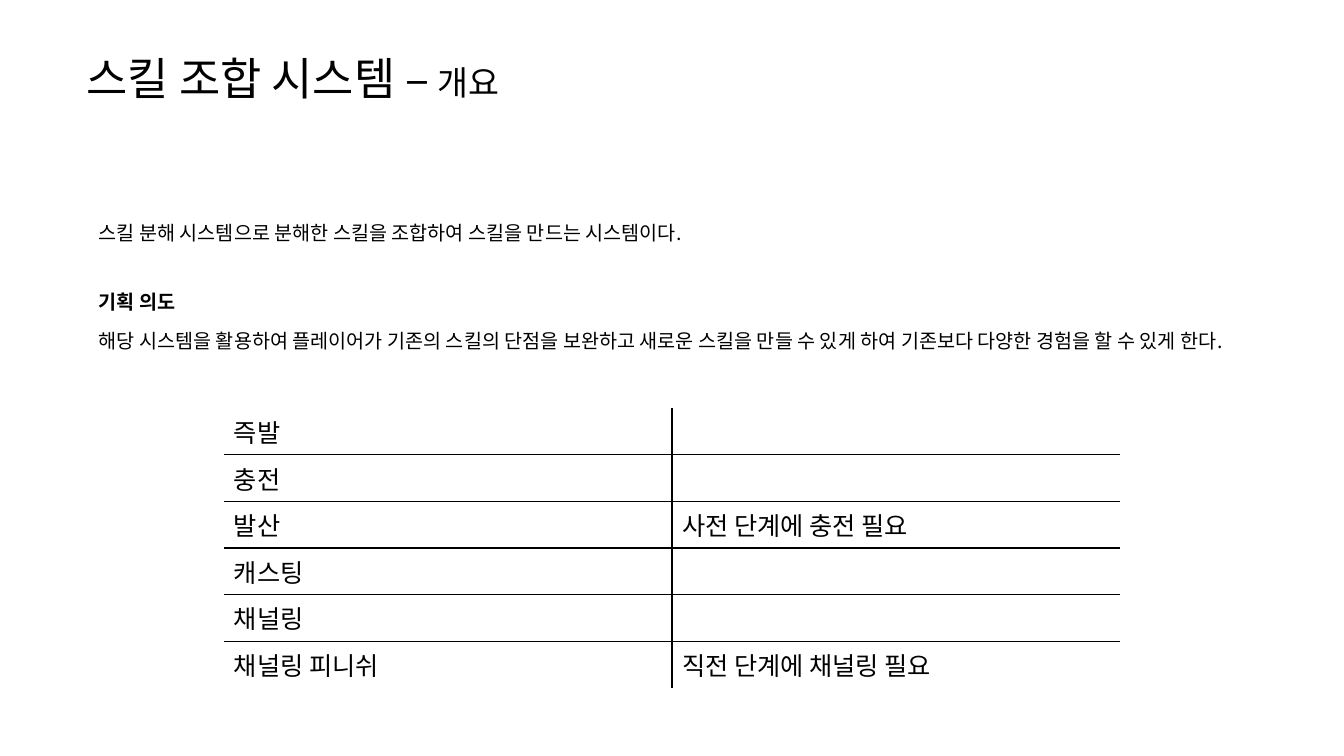
from lxml.etree import SubElement
from pptx import Presentation
from pptx.dml.color import RGBColor
from pptx.enum.text import MSO_ANCHOR, MSO_AUTO_SIZE, PP_ALIGN
from pptx.oxml.ns import qn
from pptx.util import Inches, Pt

COLORS = {"ink": "000000", "paper": "FFFFFF"}
FONT = "Noto Sans CJK KR"

TITLE = [("스킬 조합 시스템 –", 32), (" 개요", 24)]
# Each row: text, bold, height, anchor
OVERVIEW = [
    ("스킬 분해 시스템으로 분해한 스킬을 조합하여 스킬을 만드는 시스템이다.",
     False, 0.39, MSO_ANCHOR.TOP),
    ("기획 의도", True, 0.68, MSO_ANCHOR.BOTTOM),
    ("해당 시스템을 활용하여 플레이어가 기존의 스킬의 단점을 보완하고 새로운 스킬을 "
     "만들 수 있게 하여 기존보다 다양한 경험을 할 수 있게 한다.",
     False, 0.39, MSO_ANCHOR.MIDDLE),
]
SKILL_TYPES = [
    ("즉발", ""),
    ("충전", ""),
    ("발산", "사전 단계에 충전 필요"),
    ("캐스팅", ""),
    ("채널링", ""),
    ("채널링 피니쉬", "직전 단계에 채널링 필요"),
]


def add_run(paragraph, text, size, bold=False):
    run = paragraph.add_run()
    run.text = text
    font = run.font
    font.name, font.size, font.bold = FONT, Pt(size), bold
    font.color.rgb = RGBColor.from_string(COLORS["ink"])
    SubElement(run._r.get_or_add_rPr(), qn("a:ea"), typeface=FONT)


def set_borders(cell, visible):
    """Draw a 1 pt line on the sides named in visible, none on the others."""
    tc_pr = cell._tc.get_or_add_tcPr()
    for side in "LRTB":
        line = SubElement(tc_pr, qn(f"a:ln{side}"), w=str(Pt(1)))
        if side in visible:
            fill = SubElement(line, qn("a:solidFill"))
            SubElement(fill, qn("a:srgbClr"), val=COLORS["ink"])
        else:
            SubElement(line, qn("a:noFill"))


def add_plain_table(slide, box, rows, cols):
    table = slide.shapes.add_table(rows, cols, *map(Inches, box)).table
    table.first_row = table.horz_banding = False
    return table


def fill_cell(cell, text, size, borders="", bold=False):
    set_borders(cell, borders)
    cell.fill.background()
    paragraph = cell.text_frame.paragraphs[0]
    if text:
        add_run(paragraph, text, size, bold)
    else:
        paragraph.font.size = Pt(size)


def add_title(slide, box):
    title = slide.shapes.title
    title.left, title.top, title.width, title.height = map(Inches, box)
    frame = title.text_frame
    frame.auto_size = MSO_AUTO_SIZE.NONE
    frame.vertical_anchor = MSO_ANCHOR.MIDDLE
    heading = frame.paragraphs[0]
    heading.alignment = PP_ALIGN.LEFT
    for text, size in TITLE:
        add_run(heading, text, size)


def add_overview(slide, box):
    overview = add_plain_table(slide, box, len(OVERVIEW), 1)
    for row, (text, bold, height, anchor) in enumerate(OVERVIEW):
        overview.rows[row].height = Inches(height)
        cell = overview.cell(row, 0)
        fill_cell(cell, text, 14, bold=bold)
        cell.vertical_anchor = anchor


def add_skill_types(slide, box):
    last = len(SKILL_TYPES) - 1
    skill_types = add_plain_table(slide, box, len(SKILL_TYPES), 2)
    for row, texts in enumerate(SKILL_TYPES):
        # Only inner lines show
        across = ("T" if row > 0 else "") + ("B" if row < last else "")
        for col, (text, divider) in enumerate(zip(texts, "RL")):
            fill_cell(skill_types.cell(row, col), text, 18, across + divider)


def main():
    deck = Presentation()
    deck.slide_width, deck.slide_height = Inches(13.33), Inches(7.5)
    slide = deck.slides.add_slide(deck.slide_layouts[5])
    background = slide.background.fill
    background.solid()
    background.fore_color.rgb = RGBColor.from_string(COLORS["paper"])

    add_title(slide, (0.76, 0.42, 11.81, 0.69))
    add_overview(slide, (0.88, 2.11, 11.58, 1.46))
    add_skill_types(slide, (2.22, 4.05, 8.89, 2.43))
    deck.save("out.pptx")


if __name__ == "__main__":
    main()
